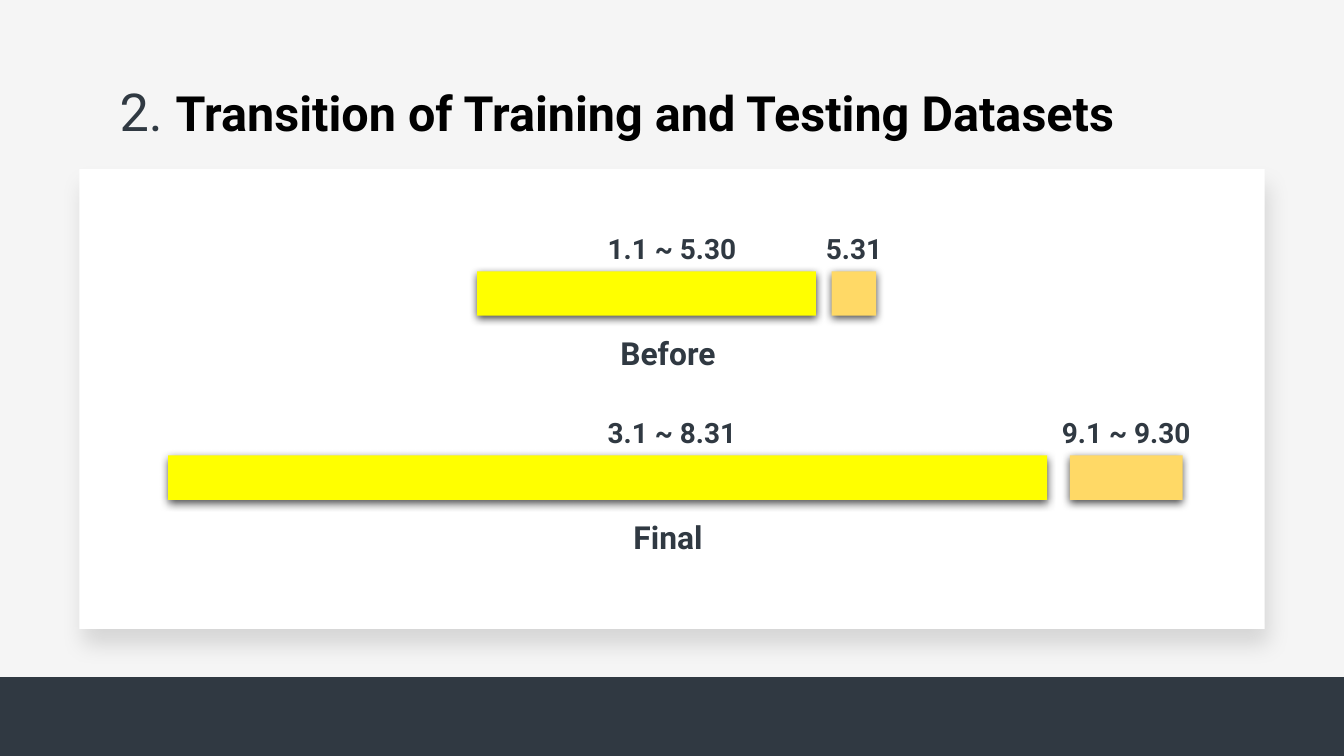
"""Build a slide that compares the training and testing periods before and after."""
from dataclasses import dataclass

from lxml import etree
from pptx import Presentation
from pptx.dml.color import RGBColor
from pptx.enum.shapes import MSO_SHAPE
from pptx.enum.text import MSO_ANCHOR, MSO_AUTO_SIZE, PP_ALIGN
from pptx.oxml.ns import qn
from pptx.util import Cm, Pt

RECT = MSO_SHAPE.RECTANGLE
TOP, MIDDLE = MSO_ANCHOR.TOP, MSO_ANCHOR.MIDDLE
LEFT, CENTER = PP_ALIGN.LEFT, PP_ALIGN.CENTER
NO_FIT = MSO_AUTO_SIZE.NONE

WIDTH, HEIGHT = 25.4, 14.29
FOOTER_TOP = 12.8
BAR_H = 0.84
LABEL_W, LABEL_RISE = 4.4, 0.85
CAPTION_H = 1.4


@dataclass(frozen=True)
class Theme:
    font: str = "Roboto"
    background: str = "F5F5F5"
    panel: str = "FFFFFF"
    ink: str = "303942"
    heading: str = "000000"
    train: str = "FFFF00"
    test: str = "FFD966"
    number_size: float = 28
    heading_size: float = 26
    caption_size: float = 17
    label_size: float = 15
    # alpha percent, blur pt, distance pt, direction degrees
    panel_shadow: tuple = (13, 12.4, 9, 76)
    bar_shadow: tuple = (70, 4.5, 1.5, 90)


class Deck:
    """Hold the theme and the current slide, and draw each kind of element."""

    def __init__(self, prs, theme):
        self.t = theme
        self.s = prs.slides.add_slide(prs.slide_layouts[5])
        fill = self.s.background.fill
        fill.solid()
        fill.fore_color.rgb = RGBColor.from_string(theme.background)

    def style(self, font, size, color, bold=False):
        font.name, font.size, font.bold = self.t.font, Pt(size), bold
        font.color.rgb = RGBColor.from_string(color)

    def frame(self, tf, anchor):
        tf.word_wrap, tf.auto_size, tf.vertical_anchor = True, NO_FIT, anchor
        tf.margin_left = tf.margin_right = Cm(0.25)
        tf.margin_top = tf.margin_bottom = Cm(0.25)

    def title(self, number, text, x, y, w, h):
        sp = self.s.shapes.title
        sp.left, sp.top, sp.width, sp.height = Cm(x), Cm(y), Cm(w), Cm(h)
        self.frame(sp.text_frame, TOP)
        p = sp.text_frame.paragraphs[0]
        p.alignment = LEFT
        r = p.add_run()
        r.text = number
        self.style(r.font, self.t.number_size, self.t.ink)
        r = p.add_run()
        r.text = text
        self.style(r.font, self.t.heading_size, self.t.heading, True)

    def box(self, x, y, w, h, color, shadow=None):
        sp = self.s.shapes.add_shape(RECT, Cm(x), Cm(y), Cm(w), Cm(h))
        sp.fill.solid()
        sp.fill.fore_color.rgb = RGBColor.from_string(color)
        sp.line.fill.background()
        sp.shadow.inherit = False
        if shadow:
            self.shadow(sp, *shadow)

    def shadow(self, sp, alpha, blur, dist, angle):
        effects = sp.element.spPr.find(qn("a:effectLst"))
        outer = etree.SubElement(
            effects, qn("a:outerShdw"), blurRad=str(Pt(blur)), dist=str(Pt(dist)),
            dir=str(angle * 60000), algn="bl", rotWithShape="0")
        clr = etree.SubElement(outer, qn("a:srgbClr"), val="000000")
        etree.SubElement(clr, qn("a:alpha"), val=str(alpha * 1000))

    def text(self, text, center, y, w, h, size):
        tb = self.s.shapes.add_textbox(Cm(center - w / 2), Cm(y), Cm(w), Cm(h))
        self.frame(tb.text_frame, MIDDLE)
        p = tb.text_frame.paragraphs[0]
        p.text, p.alignment = text, CENTER
        self.style(p.font, size, self.t.ink, True)

    def period(self, label, center, x, y, w, color):
        self.box(x, y, w, BAR_H, color, self.t.bar_shadow)
        self.text(label, center, y - LABEL_RISE, LABEL_W, BAR_H, self.t.label_size)

    def split(self, caption, caption_w, y, train, test):
        label, x, w = train
        self.period(label, WIDTH / 2, x, y, w, self.t.train)
        label, x, w = test
        self.period(label, x + w / 2, x, y, w, self.t.test)
        self.text(caption, WIDTH / 2, y + BAR_H, caption_w, CAPTION_H, self.t.caption_size)


def main():
    prs = Presentation()
    prs.slide_width, prs.slide_height = Cm(WIDTH), Cm(HEIGHT)
    theme = Theme()
    deck = Deck(prs, theme)
    deck.box(0, FOOTER_TOP, WIDTH, HEIGHT - FOOTER_TOP, theme.ink)
    deck.box(1.5, 3.2, 22.4, 8.69, theme.panel, theme.panel_shadow)
    deck.title("2. ", "Transition of Training and Testing Datasets", 2.01, 1.24, 21.41, 1.6)
    deck.split("Before ", 6.04, 5.13, ("1.1 ~ 5.30", 9.02, 6.4), ("5.31", 15.72, 0.84))
    deck.split("Final ", 3.6, 8.61, ("3.1 ~ 8.31", 3.18, 16.61), ("9.1 ~ 9.30", 20.22, 2.13))
    prs.save("out.pptx")


if __name__ == "__main__":
    main()
